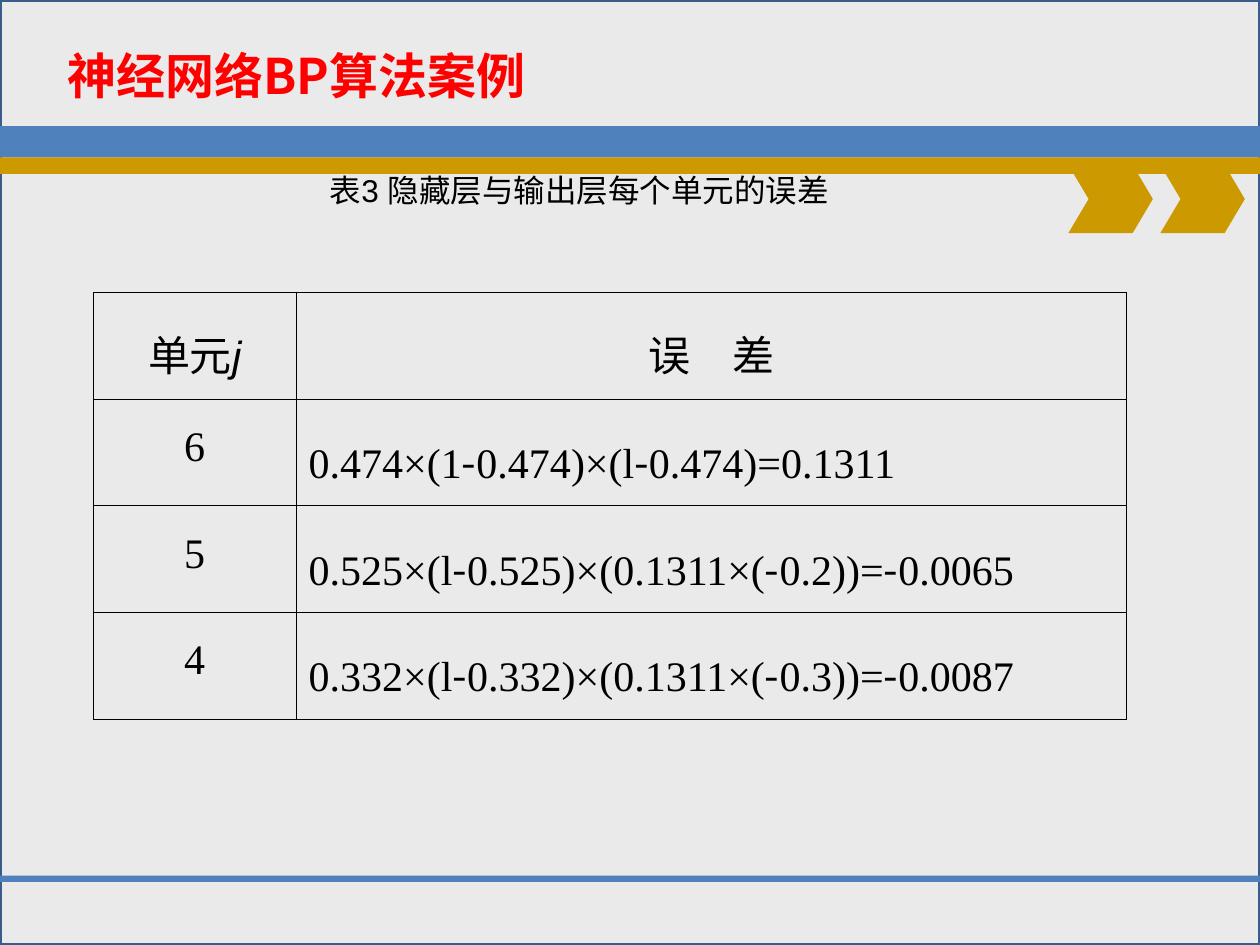
from lxml import etree
from pptx import Presentation
from pptx.dml.color import RGBColor
from pptx.enum.shapes import MSO_SHAPE
from pptx.enum.text import MSO_ANCHOR, MSO_AUTO_SIZE, PP_ALIGN
from pptx.oxml.ns import qn
from pptx.util import Inches, Pt

RECTANGLE = MSO_SHAPE.RECTANGLE
MIDDLE = MSO_ANCHOR.MIDDLE
GROW, FIXED = MSO_AUTO_SIZE.SHAPE_TO_FIT_TEXT, MSO_AUTO_SIZE.NONE
LEFT, CENTER = PP_ALIGN.LEFT, PP_ALIGN.CENTER

COLORS = {"paper": "EAEAEA", "frame": "385D8A", "blue": "4F81BD",
          "gold": "CC9900", "title": "FF0000", "ink": "000000"}
SANS, CJK, SERIF = "Arial", "Noto Sans CJK SC", "Times New Roman"

CELL_FORMAT = {"size": Pt(24)}
TITLE_FORMAT = {"size": Pt(28), "bold": True}
CAPTION_FORMAT = {"size": Pt(18)}
TITLE_FRAME = {"word_wrap": True, "auto_size": FIXED, "vertical_anchor": MIDDLE}
CAPTION_FRAME = {"word_wrap": False, "auto_size": GROW, "vertical_anchor": MIDDLE,
                 "margin_top": Inches(0.08), "margin_bottom": Inches(0.08)}
PARA_FORMAT = {"line_spacing": 1.4, "space_before": Pt(10.5)}

HEADER = [[("单元", SANS, False), ("j", SANS, True)], [("误　差", CJK, False)]]
ERRORS = [("6", "0.474×(1-0.474)×(l-0.474)=0.1311"),
          ("5", "0.525×(l-0.525)×(0.1311×(-0.2))=-0.0065"),
          ("4", "0.332×(l-0.332)×(0.1311×(-0.3))=-0.0087")]


def rgb(name):
    return RGBColor.from_string(COLORS[name])


def apply_format(target, values):
    for name, value in values.items():
        setattr(target, name, value)


def add_span(para, text, face, color, values):
    span = para.add_run()
    span.text = text
    apply_format(span.font, {"name": face, **values})
    span.font.color.rgb = rgb(color)
    etree.SubElement(span.font._element, qn("a:ea"), typeface=CJK)


def paint(shape, fill, line=None):
    shape.shadow.inherit = False
    shape.fill.solid()
    shape.fill.fore_color.rgb = rgb(fill)
    if line:
        shape.line.color.rgb = rgb(line)
        shape.line.width = Pt(2)
    else:
        shape.line.fill.background()


def add_bar(page, left, top, width, height, fill, line=None):
    bar = page.shapes.add_shape(RECTANGLE, Inches(left), Inches(top),
                                Inches(width), Inches(height))
    paint(bar, fill, line)


def add_chevron(page, left, top, width, height):
    tip = 0.16
    shoulder, middle = left + width - tip, top + height / 2
    points = [(shoulder, top), (left + width, middle), (shoulder, top + height),
              (left, top + height), (left + tip, middle)]
    builder = page.shapes.build_freeform(Inches(left), Inches(top))
    builder.add_line_segments([(Inches(x), Inches(y)) for x, y in points])
    paint(builder.convert_to_shape(), "gold")


def add_backdrop(page, left, top, width, height):
    add_bar(page, left, top, width, height, "paper", "frame")
    add_bar(page, left, top + 1, width, 0.25, "blue")
    add_bar(page, left, top + 1.25, width, 0.13, "gold")
    for index in range(2):
        add_chevron(page, left + 8.48 + 0.73 * index, top + 1.31, 0.67, 0.54)
    add_bar(page, left, top + 6.95, width, 0.05, "blue")


def add_label(page, left, top, width, height, text, face, color, values, frame):
    box = page.shapes.add_textbox(Inches(left), Inches(top),
                                  Inches(width), Inches(height))
    apply_format(box.text_frame, frame)
    add_span(box.text_frame.paragraphs[0], text, face, color, values)


def add_border(cell, side, width):
    properties = cell._tc.get_or_add_tcPr()
    line = etree.SubElement(properties, qn("a:ln" + side), w=str(Pt(width)))
    fill = etree.SubElement(line, qn("a:solidFill"))
    etree.SubElement(fill, qn("a:srgbClr"), val=COLORS["ink"])


def formula_spans(text):
    """Minus signs use the sans face, everything else the serif face."""
    pieces = text.replace("-", "|-|").split("|")
    return [(piece, CJK if piece == "-" else SERIF, False) for piece in pieces]


def add_error_table(page, left, top, width, height):
    rows = HEADER, *([formula_spans(unit), formula_spans(error)]
                     for unit, error in ERRORS)
    table = page.shapes.add_table(len(rows), 2, Inches(left), Inches(top),
                                  Inches(width), Inches(height)).table
    apply_format(table, {"first_row": False, "horz_banding": False})
    unit_width = 1.61
    table.columns[0].width = Inches(unit_width)
    table.columns[1].width = Inches(width - unit_width)

    last = len(rows) - 1
    for r, row in enumerate(rows):
        for c, spans in enumerate(row):
            cell = table.cell(r, c)
            # Heavy rules above and below, thin ones elsewhere
            add_border(cell, "L", 0.45 if c else 0.34)
            add_border(cell, "R", 0.34 if c else 0.45)
            add_border(cell, "T", 0.45 if r else 0.96)
            add_border(cell, "B", 0.96 if r == last else 0.45)
            cell.fill.background()
            # Hanging indent shared by every cell
            para = cell.text_frame.paragraphs[0]
            properties = para._p.get_or_add_pPr()
            properties.set("marL", str(Inches(0.38)))
            properties.set("indent", str(Inches(-0.38)))
            apply_format(para, PARA_FORMAT)
            para.alignment = LEFT if r and c else CENTER
            for text, face, italic in spans:
                add_span(para, text, face, "ink", {**CELL_FORMAT, "italic": italic})


def main():
    deck = Presentation()
    deck.slide_width, deck.slide_height = Inches(10), Inches(7.5)
    page = deck.slides.add_slide(deck.slide_layouts[6])
    add_backdrop(page, 0, 0, 10, 7.5)
    add_error_table(page, 0.74, 2.32, 8.2, 3.39)
    add_label(page, 2.52, 1.27, 4.35, 0.47, "表3 隐藏层与输出层每个单元的误差",
              SANS, "ink", CAPTION_FORMAT, CAPTION_FRAME)
    add_label(page, 0.44, 0.42, 4.43, 0.35, "神经网络BP算法案例",
              CJK, "title", TITLE_FORMAT, TITLE_FRAME)
    deck.save("out.pptx")


if __name__ == "__main__":
    main()
